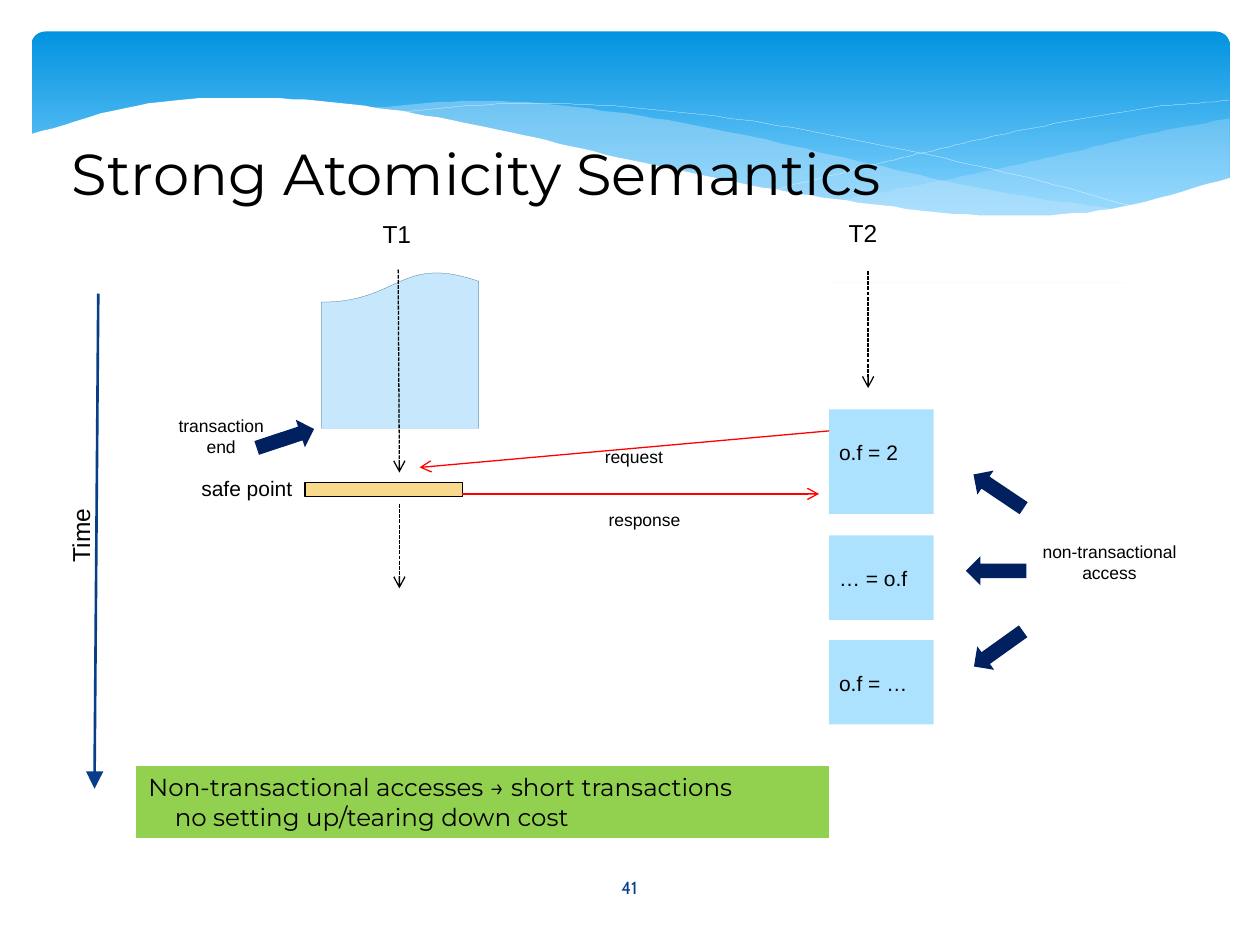
"""Build the Strong Atomicity Semantics slide with its two thread timelines."""
from lxml import etree
from pptx import Presentation
from pptx.dml.color import RGBColor as RGB
from pptx.enum.dml import MSO_LINE as DASH
from pptx.enum.shapes import MSO_CONNECTOR as CONN, MSO_SHAPE as SHAPE
from pptx.enum.text import MSO_ANCHOR as ANCHOR, MSO_AUTO_SIZE as AUTO, PP_ALIGN as ALIGN
from pptx.oxml.ns import qn
from pptx.util import Pt

PX = 9144
HAIRLINE = 0.1
COLORS = {
    "black": "000000", "white": "FFFFFF", "red": "FF0000", "blue": "073E87",
    "navy": "002060", "sky": "ADE2FE", "pale": "C6E7FC", "edge": "195F84",
    "sand": "F9D98C", "green": "92D050", "top": "0293E0", "bottom": "83D3FE",
}
C = {name: RGB.from_string(value) for name, value in COLORS.items()}

prs = Presentation()
prs.slide_width, prs.slide_height = 1000 * PX, 750 * PX
s = prs.slides.add_slide(prs.slide_layouts[5])
shapes = s.shapes


def write(sp, lines, size, font="Arial", color="black", align=ALIGN.LEFT,
          anchor=ANCHOR.TOP, inset=(8, 4)):
    tf = sp.text_frame
    tf.word_wrap, tf.auto_size, tf.vertical_anchor = True, AUTO.NONE, anchor
    tf.margin_left = tf.margin_right = inset[0] * PX
    tf.margin_top = tf.margin_bottom = inset[1] * PX
    for i, line in enumerate(lines):
        p = tf.paragraphs[0] if i == 0 else tf.add_paragraph()
        p.alignment = align
        r = p.add_run()
        r.text = line
        r.font.size, r.font.name = Pt(size), font
        r.font.color.rgb = C[color]
    return tf


def block(kind, box, fill, line=None, width=HAIRLINE, angle=0):
    sp = shapes.add_shape(kind, *[v * PX for v in box])
    sp.shadow.inherit = False
    sp.rotation = angle
    sp.fill.solid()
    sp.fill.fore_color.rgb = C[fill]
    if line:
        sp.line.color.rgb, sp.line.width = C[line], Pt(width)
    else:
        sp.line.fill.background()
    return sp


banner = block(SHAPE.ROUNDED_RECTANGLE, (25, 25, 951, 156), "top")
banner.adjustments[0] = 0.07
banner.fill.gradient()
banner.fill.gradient_angle = 270
for stop, name, position in zip(banner.fill.gradient_stops, ("top", "bottom"), (0, 0.9)):
    stop.color.rgb, stop.position = C[name], position

WAVE_FLOOR = 224
SAMPLES = 10
waves = [
    (661, 976, [160, 148, 135, 121, 106, 94], "pale", 29),
    (286, 893, [86, 80, 89, 107, 130, 152, 167], "pale", 40),
    (309, 907, [90, 82, 86, 98, 117, 139, 166], None, 0),
    (613, 975, [151, 136, 121, 107, 95, 85, 80], None, 0),
    (23, 977, [107, 82, 78, 87, 105, 127, 147, 162, 171, 166, 141], "white", 100),
]
for left, right, heights, fill, opacity in waves:
    gaps = len(heights) - 1
    padded = [2 * heights[0] - heights[1], *heights, 2 * heights[-1] - heights[-2]]
    crest = []
    for n in range(gaps * SAMPLES + 1):
        i = min(n // SAMPLES, gaps - 1)
        t = n / SAMPLES - i
        a, b, c, d = padded[i:i + 4]
        y = b + t / 2 * (c - a + t * (2 * a - 5 * b + 4 * c - d + t * (3 * (b - c) + d - a)))
        crest.append((left + (right - left) * n / (gaps * SAMPLES), y))
    floor = [(right, WAVE_FLOOR), (left, WAVE_FLOOR)] if fill else []
    fb = shapes.build_freeform(*crest[0], scale=PX)
    fb.add_line_segments(crest[1:] + floor, close=bool(fill))
    sp = fb.convert_to_shape()
    sp.shadow.inherit = False
    if fill:
        sp.fill.solid()
        sp.fill.fore_color.rgb = C[fill]
        sp.line.fill.background()
        color = sp.fill._xPr.find(qn("a:solidFill"))[0]
        etree.SubElement(color, qn("a:alpha"), val=str(opacity * 1000))
    else:
        sp.fill.background()
        sp.line.color.rgb, sp.line.width = C["white"], Pt(HAIRLINE)

title = shapes.title
title.left, title.top, title.width, title.height = [v * PX for v in (48, 19, 884, 150)]
write(title, ["Strong Atomicity Semantics"], 33, "Montserrat", anchor=ANCHOR.BOTTOM, inset=(9, 5))
shapes._spTree.append(title._element)

block(SHAPE.FLOWCHART_DOCUMENT, (255, 215, 125, 125), "pale", "edge", angle=180)
block(SHAPE.RECTANGLE, (242, 383, 125, 11), "sand", "black", 0.75)

for text, top, height in [("o.f = 2", 325, 83), ("… = o.f", 425, 67), ("o.f = …", 508, 67)]:
    access = block(SHAPE.RECTANGLE, (658, top, 83, height), "sky")
    write(access, [text], 12, inset=(8, 24))

for left, top, angle in [(215, 324, 71.7), (781, 366, 303.9), (779, 429, 270), (781, 491, 234.4)]:
    block(SHAPE.UP_ARROW, (left, top, 23, 48), "navy", angle=angle)

note = block(SHAPE.RECTANGLE, (108, 608, 550, 57), "green")
tf = write(note, ["Non-transactional accesses → short transactions",
                  "no setting up/tearing down cost"], 14, "Montserrat", inset=(10, 5))
tf.paragraphs[1]._p.get_or_add_pPr().set("marL", str(21 * PX))

time_axis = [(78, 233, 75, 626)]
thread_steps = [(689, 215, 689, 308), (316, 214, 317, 375), (317, 400, 317, 467)]
messages = [(658, 342, 333, 371), (367, 392, 650, 392)]
for arrows, color, width, dash, head, head_size in [
        (time_axis, "blue", 1.5, None, "triangle", "lg"),
        (thread_steps, "black", 0.75, DASH.SQUARE_DOT, "arrow", "med"),
        (messages, "red", 0.75, None, "arrow", "med")]:
    for ends in arrows:
        cn = shapes.add_connector(CONN.STRAIGHT, *[v * PX for v in ends])
        cn.line.color.rgb, cn.line.width = C[color], Pt(width)
        if dash:
            cn.line.dash_style = dash
        ln = cn.line._get_or_add_ln()
        etree.SubElement(ln, qn("a:tailEnd"), type=head, w=head_size, len=head_size)
        etree.SubElement(cn._element.spPr, qn("a:effectLst"))

for lines, box, size, align, inset, angle in [
        (["Time"], (1, 395, 102, 20), 14, ALIGN.LEFT, (10, 10), 270),
        (["T1"], (265, 164, 100, 20), 14, ALIGN.CENTER, (10, 10), 0),
        (["T2"], (635, 163, 100, 20), 14, ALIGN.CENTER, (10, 10), 0),
        (["non-transactional", "access"], (792, 425, 177, 32), 10, ALIGN.CENTER, (8, 4), 0),
        (["request"], (472, 350, 70, 32), 10, ALIGN.LEFT, (8, 4), 0),
        (["response"], (475, 400, 75, 32), 10, ALIGN.LEFT, (8, 4), 0),
        (["transaction end"], (126, 325, 99, 32), 10, ALIGN.CENTER, (8, 4), 0),
        (["safe point"], (150, 367, 97, 38), 12, ALIGN.LEFT, (10, 10), 0)]:
    label = shapes.add_textbox(*[v * PX for v in box])
    label.rotation = angle
    write(label, lines, size, align=align, inset=inset)

number = shapes.add_textbox(436 * PX, 684 * PX, 127 * PX, 40 * PX)
write(number, ["41"], 10, "Cabin", "blue", ALIGN.CENTER, ANCHOR.MIDDLE)

prs.save("out.pptx")
